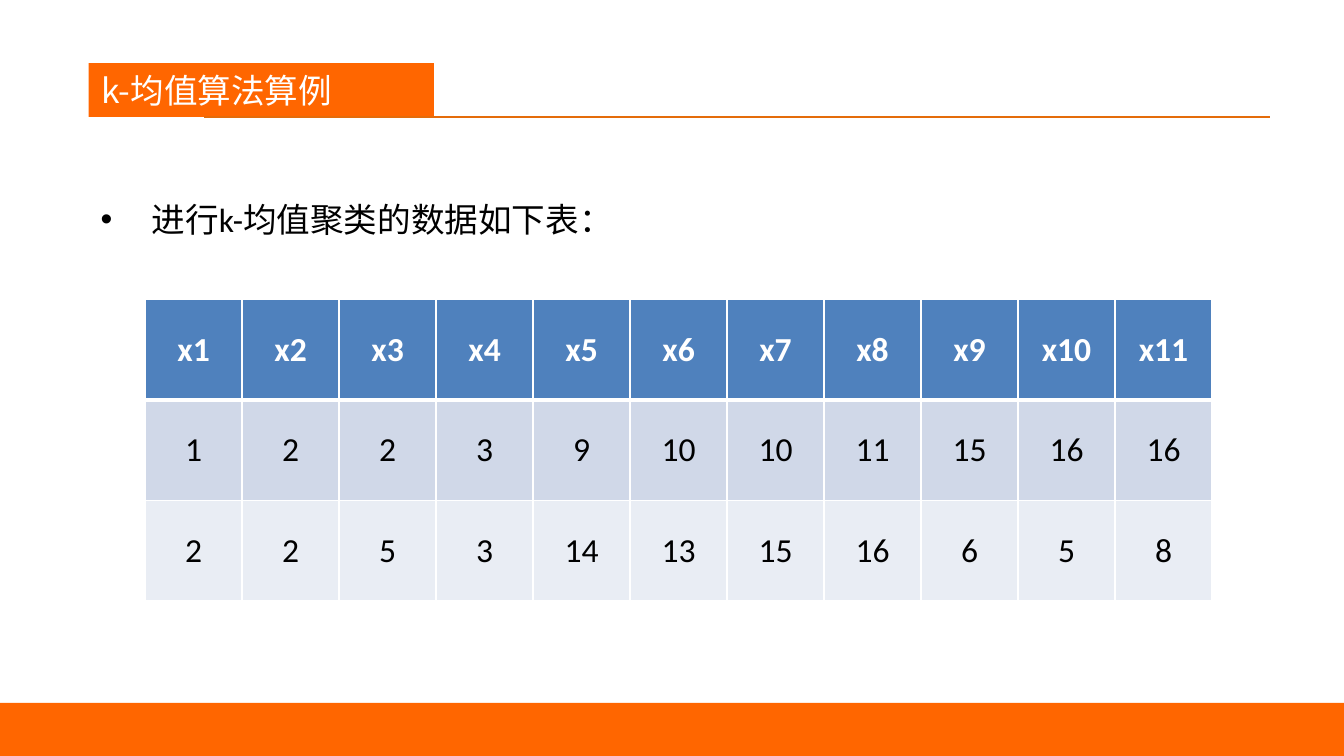
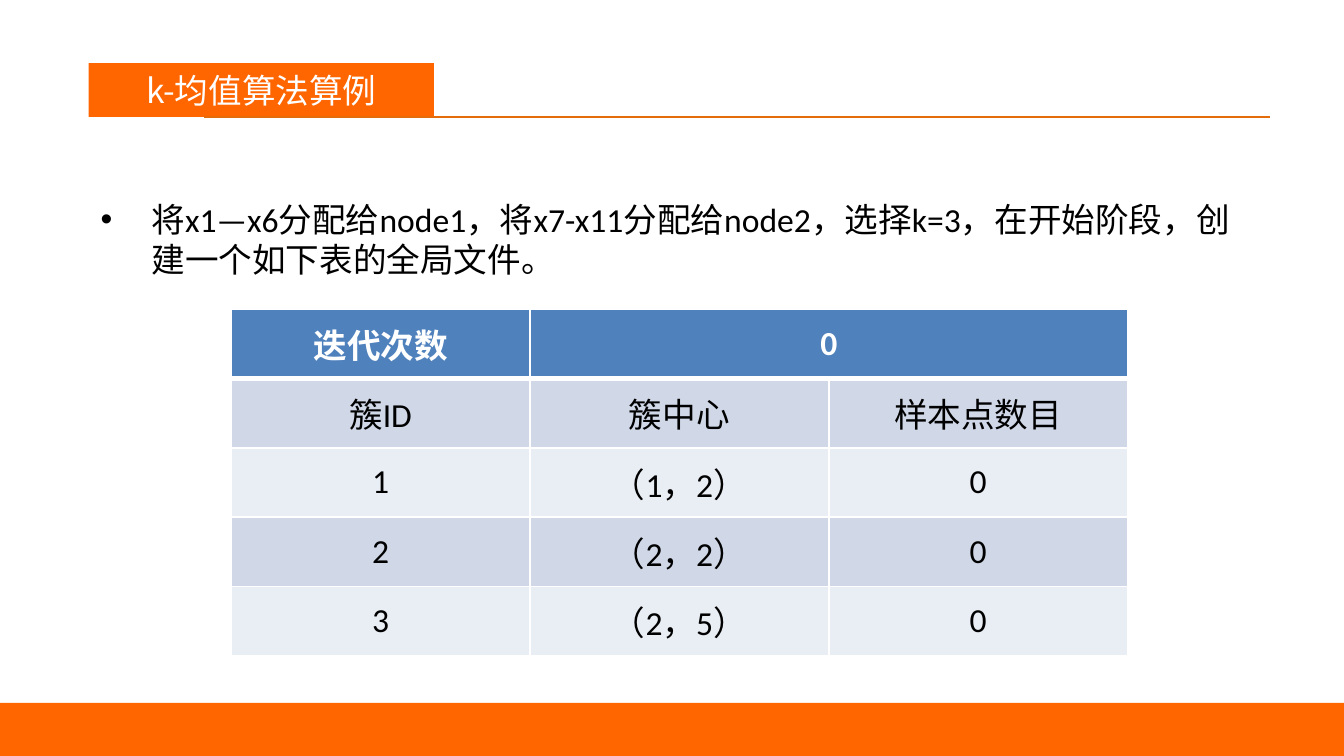
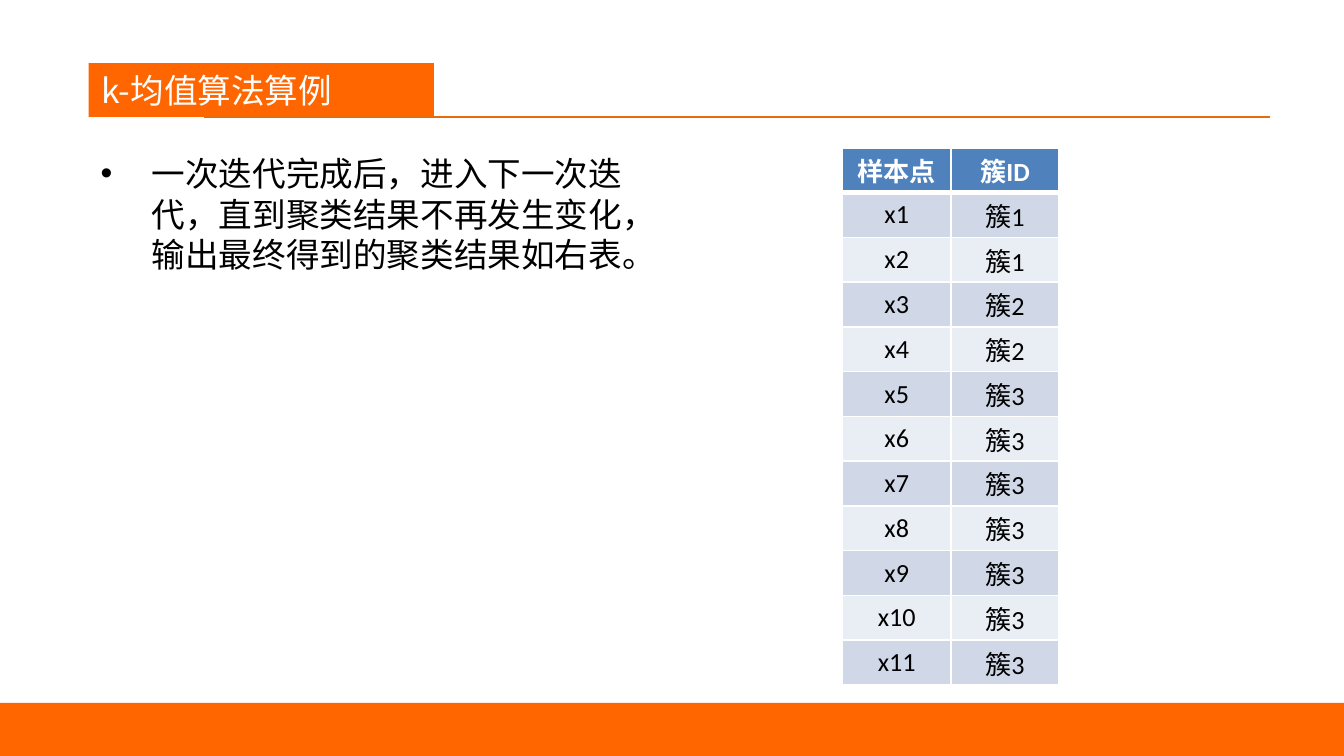
from lxml.etree import SubElement
from pptx import Presentation
from pptx.dml.color import RGBColor
from pptx.enum.shapes import MSO_CONNECTOR, MSO_SHAPE
from pptx.enum.text import MSO_ANCHOR, PP_ALIGN
from pptx.oxml import parse_xml
from pptx.oxml.ns import nsdecls, qn
from pptx.util import Inches, Pt

COLORS = {
    "accent": "FF6600", "rule": "E46C0A", "white": "FFFFFF", "text": "000000",
    "header": "4F81BD", "band_dark": "D0D8E8", "band_light": "E9EDF4",
}
TITLE_FONT, BODY_FONT = "Noto Sans CJK SC", "Calibri"
TITLE = "k-均值算法算例"
SLIDE_W, SLIDE_H = 10, 5.625


def rgb(name):
    return RGBColor.from_string(COLORS[name])


def write(p, text, size=18, font=BODY_FONT, color="text", bold=False, align=None):
    """Put one formatted run into a paragraph."""
    p.alignment = align
    r = p.add_run()
    r.text = text
    r.font.size, r.font.name, r.font.bold = Pt(size), font, bold
    r.font.color.rgb = rgb(color)


def add_band(slide, x, y, w, h):
    sp = slide.shapes.add_shape(MSO_SHAPE.RECTANGLE, Inches(x), Inches(y), Inches(w), Inches(h))
    sp.shadow.inherit = False
    sp.fill.solid()
    sp.fill.fore_color.rgb = rgb("accent")
    sp.line.fill.background()
    return sp


def add_frame(prs, align=PP_ALIGN.LEFT):
    """New slide with title band, rule and footer band."""
    slide = prs.slides.add_slide(prs.slide_layouts[6])
    # Title band
    tf = add_band(slide, 0.66, 0.47, 2.57, 0.4).text_frame
    tf.vertical_anchor = MSO_ANCHOR.MIDDLE
    write(tf.paragraphs[0], TITLE, font=TITLE_FONT, color="white", align=align)
    # Rule under the title
    rule = slide.shapes.add_connector(
        MSO_CONNECTOR.STRAIGHT, Inches(1.52), Inches(0.87), Inches(9.45), Inches(0.87))
    rule.line.color.rgb = rgb("rule")
    rule.line.width = Pt(0.75)
    SubElement(rule._element.spPr, qn("a:effectLst"))
    # Footer band
    add_band(slide, 0, 5.23, SLIDE_W, SLIDE_H - 5.23)
    return slide


def add_bullet(slide, text, x, y, w, h, lead=0):
    """Bulleted paragraph; lead is the extra room above it."""
    tf = slide.shapes.add_textbox(Inches(x), Inches(y), Inches(w), Inches(h)).text_frame
    tf.word_wrap = True
    tf.margin_top = Inches(0.05 + lead)
    p = tf.paragraphs[0]
    write(p, text)
    pPr = p._p.get_or_add_pPr()
    pPr.set("marL", str(Inches(0.38)))
    pPr.set("indent", str(-Inches(0.38)))
    for xml in ('<a:spcBef {}><a:spcPct val="20000"/></a:spcBef>',
                '<a:buFont {} typeface="Arial"/>', '<a:buChar {} char="•"/>'):
        pPr.append(parse_xml(xml.format(nsdecls("a"))))


def set_borders(cell, is_header):
    """White cell edges, with a heavy one below the header."""
    widths = {"lnL": 1, "lnR": 1}
    if is_header:
        widths["lnT"] = 1
    widths["lnB"] = 3 if is_header else 1
    tcPr = cell._tc.get_or_add_tcPr()
    for i, (tag, width) in enumerate(widths.items()):
        tcPr.insert(i, parse_xml(
            f'<a:{tag} {nsdecls("a")} w="{Pt(width)}"><a:solidFill>'
            f'<a:srgbClr val="{COLORS["white"]}"/></a:solidFill></a:{tag}>'))


def add_data_table(slide, rows, x, y, w, h, size=18, pad=0.05):
    """Table with a blue header and banded rows, evenly divided."""
    n_rows, n_cols = len(rows), len(rows[0])
    table = slide.shapes.add_table(
        n_rows, n_cols, Inches(x), Inches(y), Inches(w), Inches(h)).table
    for i, row in enumerate(rows):
        is_header = i == 0
        fill = "header" if is_header else "band_dark" if i % 2 else "band_light"
        for j, value in enumerate(row):
            cell = table.cell(i, j)
            cell.vertical_anchor = MSO_ANCHOR.MIDDLE
            cell.margin_top = cell.margin_bottom = Inches(pad)
            cell.fill.solid()
            cell.fill.fore_color.rgb = rgb(fill)
            set_borders(cell, is_header)
            if value is not None:
                write(cell.text_frame.paragraphs[0], str(value), size=size, bold=is_header,
                      color="white" if is_header else "text", align=PP_ALIGN.CENTER)
    return table


def build_data_slide(prs):
    slide = add_frame(prs)
    add_bullet(slide, "进行k-均值聚类的数据如下表：", 0.65, 1.09, 8.8, 1.13, lead=0.34)
    rows = [
        [f"x{i}" for i in range(1, 12)],
        [1, 2, 2, 3, 9, 10, 10, 11, 15, 16, 16],
        [2, 2, 5, 3, 14, 13, 15, 16, 6, 5, 8],
    ]
    add_data_table(slide, rows, 1.08, 2.23, 7.94, 2.24)


def build_start_slide(prs):
    slide = add_frame(prs, align=PP_ALIGN.CENTER)
    add_bullet(slide, "将x1—x6分配给node1，将x7-x11分配给node2，选择k=3，"
               "在开始阶段，创建一个如下表的全局文件。", 0.65, 1.09, 8.8, 1.8, lead=0.34)
    rows = [["迭代次数", 0, None], ["簇ID", "簇中心", "样本点数目"]]
    centers = ["（1，2）", "（2，2）", "（2，5）"]
    rows += [[k, center, 0] for k, center in enumerate(centers, 1)]
    table = add_data_table(slide, rows, 1.72, 2.3, 6.67, 2.58)
    table.cell(0, 1).merge(table.cell(0, 2))


def build_result_slide(prs):
    slide = add_frame(prs)
    add_bullet(slide, "一次迭代完成后，进入下一次迭代，直到聚类结果不再发生变化，"
               "输出最终得到的聚类结果如右表。", 0.65, 1.09, 4.08, 1.31)
    clusters = [1, 1, 2, 2] + [3] * 7
    rows = [["样本点", "簇ID"]]
    rows += [[f"x{i}", f"簇{k}"] for i, k in enumerate(clusters, 1)]
    add_data_table(slide, rows, 6.27, 1.1, 1.61, 4, size=14, pad=0.02)


prs = Presentation()
prs.slide_width, prs.slide_height = Inches(SLIDE_W), Inches(SLIDE_H)
for build in (build_data_slide, build_start_slide, build_result_slide):
    build(prs)
prs.save("out.pptx")
